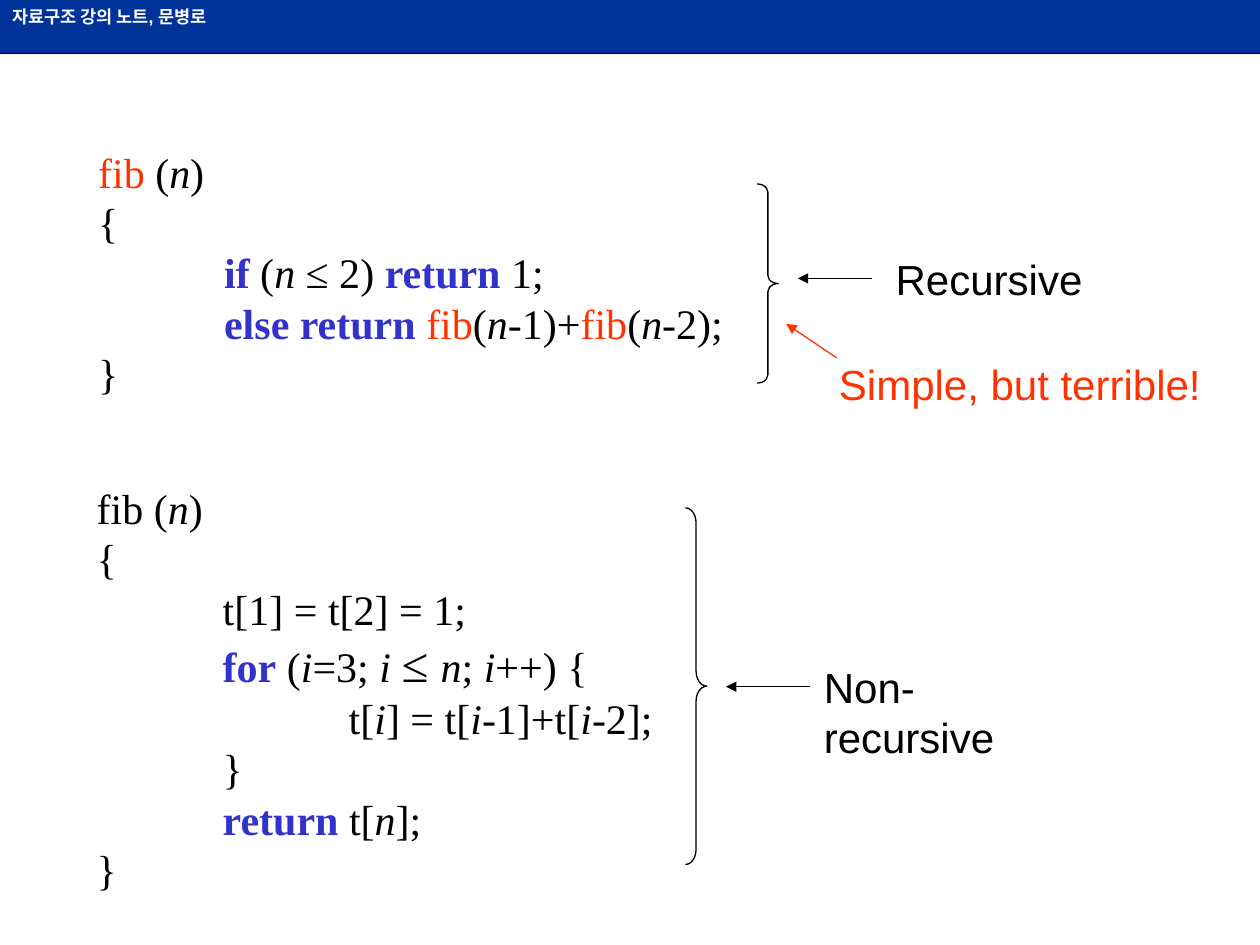
from lxml import etree
from pptx import Presentation
from pptx.dml.color import RGBColor
from pptx.enum.shapes import MSO_CONNECTOR, MSO_SHAPE
from pptx.enum.text import MSO_ANCHOR, MSO_AUTO_SIZE, PP_ALIGN
from pptx.oxml.ns import qn
from pptx.util import Pt

BLACK, WHITE, NAVY, BLUE, RED = "000000", "FFFFFF", "003399", "3333CC", "FF3300"
TAB_STEP = 72
LINE_FACTOR = 1.2
LABEL_HEIGHT = 36

CODE = {"name": "Times New Roman", "size": 24, "color": BLACK, "bold": False, "italic": False}
LABEL = CODE | {"name": "Arial"}
WARNING = LABEL | {"color": RED}
HEADER = LABEL | {"size": 10, "color": WHITE, "bold": True}
KEYWORD = CODE | {"color": BLUE, "bold": True}
CALL = CODE | {"color": RED}
VARIABLE = CODE | {"italic": True}
BIG = CODE | {"size": 28}

RECURSIVE_CODE = [
    [("fib ", CALL), ("(", CODE), ("n", VARIABLE), (")", CODE)],
    [("{", CODE)],
    [("\t", CODE), ("if", KEYWORD), (" (", CODE), ("n", VARIABLE), (" ≤ 2) ", CODE),
     ("return", KEYWORD), (" 1;", CODE)],
    [("\t", CODE), ("else return ", KEYWORD), ("fib", CALL), ("(", CODE), ("n", VARIABLE),
     ("-1)+", CODE), ("fib", CALL), ("(", CODE), ("n", VARIABLE), ("-2);", CODE)],
    [("}", CODE)],
]
LOOP_CODE = [
    [("fib (", CODE), ("n", VARIABLE), (")", CODE)],
    [("{", CODE)],
    [("\tt[1] = t[2] = 1;", CODE)],
    [("\t", CODE), ("for", KEYWORD), (" (", CODE), ("i", VARIABLE), ("=3; ", CODE),
     ("i ", VARIABLE), ("≤ ", BIG), ("n", VARIABLE), ("; ", CODE), ("i", VARIABLE),
     ("++) {", CODE)],
    [("\t\tt[", CODE), ("i", VARIABLE), ("] = t[", CODE), ("i", VARIABLE), ("-1]+t[", CODE),
     ("i", VARIABLE), ("-2];", CODE)],
    [("\t}", CODE)],
    [("\t", CODE), ("return ", KEYWORD), ("t[", CODE), ("n", VARIABLE), ("];", CODE)],
    [("}", CODE)],
]


def rgb(value):
    return RGBColor.from_string(value)


def write_lines(text_frame, lines, align=PP_ALIGN.LEFT):
    for index, runs in enumerate(lines):
        paragraph = text_frame.paragraphs[0] if index == 0 else text_frame.add_paragraph()
        paragraph.alignment = align
        paragraph.line_spacing = Pt(LINE_FACTOR * max(style["size"] for _, style in runs))
        tabs = etree.SubElement(paragraph._p.get_or_add_pPr(), qn("a:tabLst"))
        for step in range(1, 8):
            etree.SubElement(tabs, qn("a:tab"), pos=str(Pt(TAB_STEP * step)), algn="l")
        for text, style in runs:
            run = paragraph.add_run()
            run.text = text
            run.font.color.rgb = rgb(style["color"])
            run.font.size = Pt(style["size"])
            for key in ("name", "bold", "italic"):
                setattr(run.font, key, style[key])


def add_text(slide, box, lines, align=PP_ALIGN.LEFT):
    text_frame = slide.shapes.add_textbox(*map(Pt, box)).text_frame
    text_frame.word_wrap = False
    text_frame.auto_size = MSO_AUTO_SIZE.SHAPE_TO_FIT_TEXT
    write_lines(text_frame, lines, align)


def add_line(slide, start, end, color=BLACK, width=0.75, arrow=True):
    line = slide.shapes.add_connector(MSO_CONNECTOR.STRAIGHT, *map(Pt, (*start, *end)))
    line.line.color.rgb = rgb(color)
    line.line.width = Pt(width)
    if arrow:
        etree.SubElement(line.line._get_or_add_ln(), qn("a:tailEnd"), type="triangle")
    etree.SubElement(line._element.spPr, qn("a:effectLst"))


def add_header(slide, box):
    left, top, width, height = box
    bottom = top + height
    add_line(slide, (left, bottom), (left + width, bottom), width=1.5, arrow=False)
    band = slide.shapes.add_shape(MSO_SHAPE.RECTANGLE, *map(Pt, box))
    band.shadow.inherit = False
    band.fill.solid()
    band.fill.fore_color.rgb = rgb(NAVY)
    band.line.fill.background()
    band.text_frame.vertical_anchor = MSO_ANCHOR.TOP
    write_lines(band.text_frame, [[("자료구조 강의 노트, 문병로", HEADER)]])


def add_algorithm(slide, box, lines, brace, curl, label, label_box, arrow_length):
    """Code with a brace and a labelled arrow; brace and label offsets start at the box corner."""
    left, top, width, height = box
    add_text(slide, box, lines)

    # Brace
    x, y, brace_width, brace_height = brace
    shape = slide.shapes.add_shape(
        MSO_SHAPE.RIGHT_BRACE, Pt(left + x), Pt(top + y), Pt(brace_width), Pt(brace_height))
    shape.shadow.inherit = False
    shape.fill.background()
    shape.line.color.rgb = rgb(BLACK)
    shape.line.width = Pt(0.75)
    shape.adjustments[0] = curl

    # Label, with its arrow at mid height
    label_x, label_y, label_width = label_box
    add_text(slide, (left + label_x, top + label_y, label_width, LABEL_HEIGHT), [[(label, LABEL)]])
    tip = left + x + brace_width + 11
    middle = top + label_y + LABEL_HEIGHT / 2
    add_line(slide, (tip + arrow_length, middle), (tip, middle))


def add_warning(slide, box):
    left, top, width, height = box
    add_line(slide, (left + 5.8, top + 2.9), (left - 23, top - 16.5), RED)
    add_text(slide, box, [[("Simple, but terrible!", WARNING)]], PP_ALIGN.RIGHT)


def main():
    presentation = Presentation()
    presentation.slide_width, presentation.slide_height = Pt(720), Pt(540)
    slide = presentation.slides.add_slide(presentation.slide_layouts[6])

    add_header(slide, (0, 0, 720, 30.2))
    add_algorithm(slide, (48.2, 272.2, 331.9, 242.6), LOOP_CODE,
                  brace=(343.5, 18, 12.2, 203.8), curl=0.7,
                  label="Non-recursive", label_box=(415.5, 102.2, 163.4), arrow_length=48)
    add_algorithm(slide, (49, 80, 371.5, 151.2), RECURSIVE_CODE,
                  brace=(383.7, 25.1, 12.2, 113.8), curl=0.38,
                  label="Recursive", label_box=(455.7, 61.1, 121), arrow_length=42.5)
    add_warning(slide, (472.3, 201.6, 221, LABEL_HEIGHT))

    presentation.save("out.pptx")


if __name__ == "__main__":
    main()
